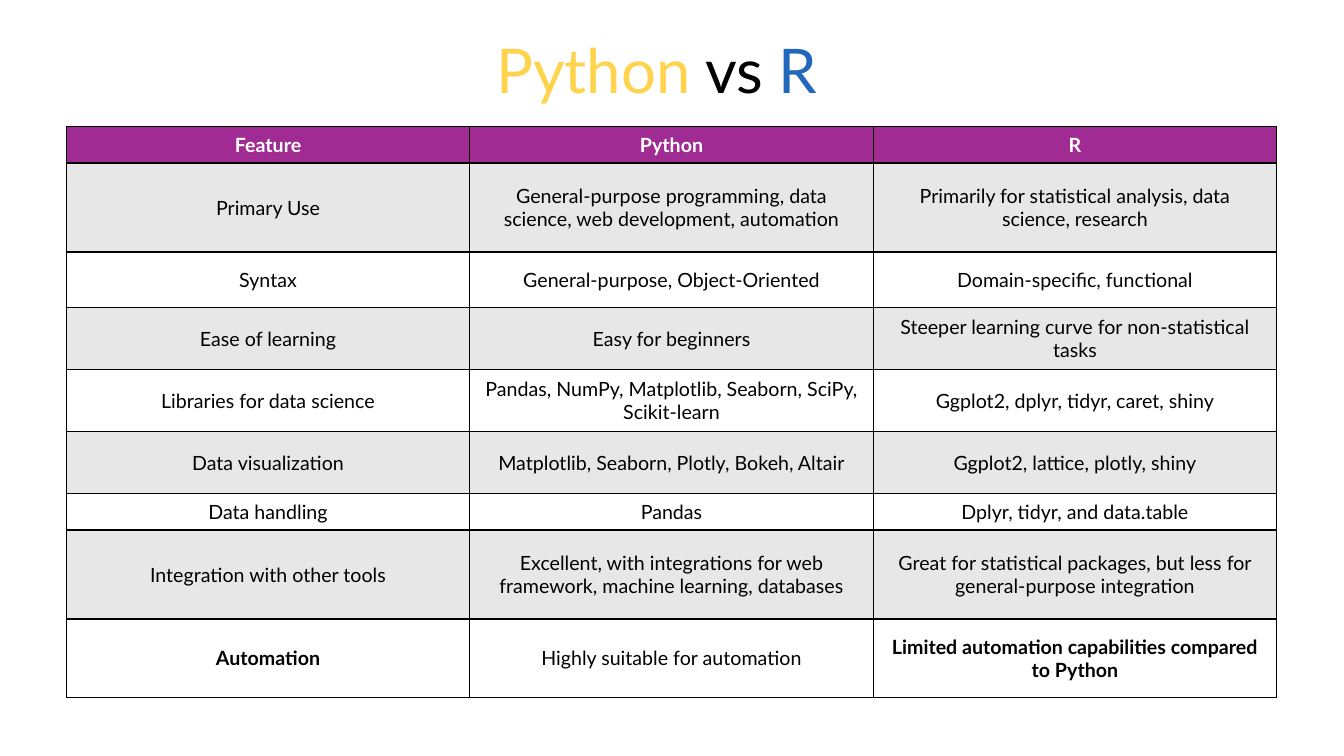
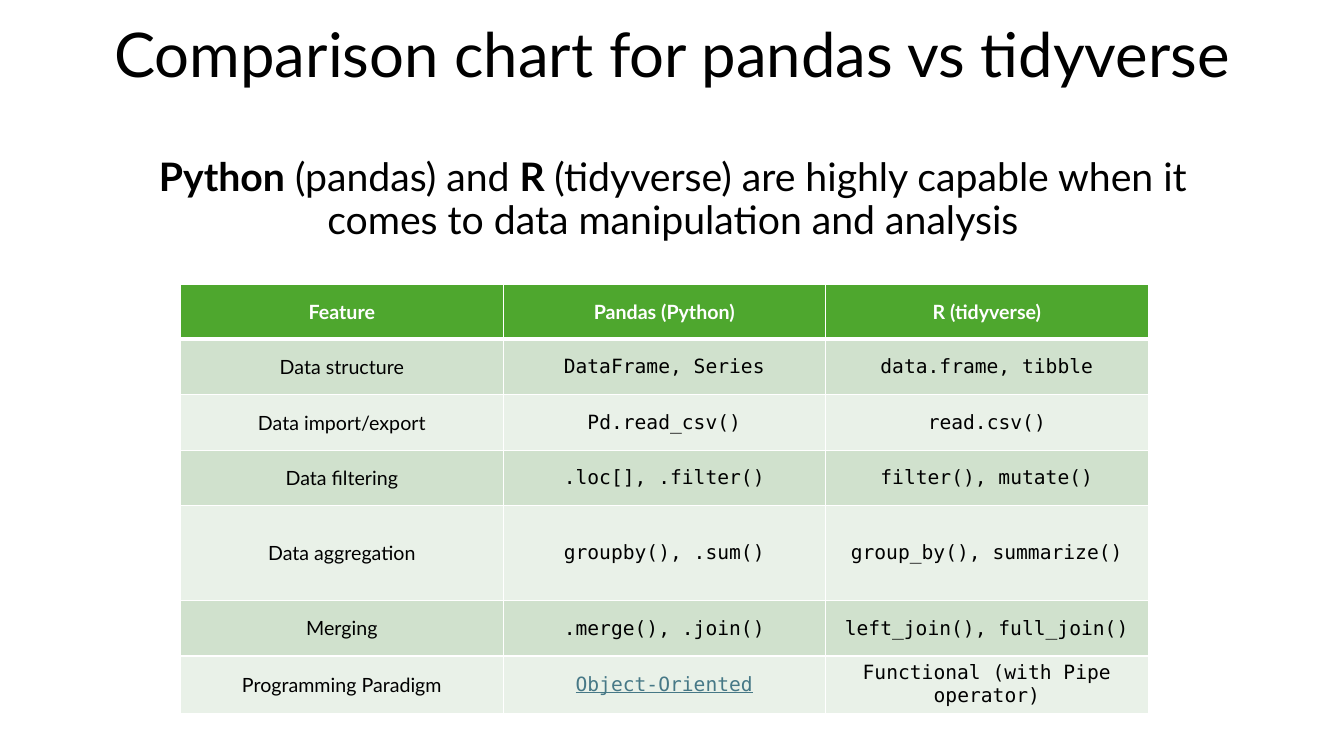
from dataclasses import dataclass

from lxml.etree import SubElement as add_element
from pptx import Presentation
from pptx.dml.color import RGBColor
from pptx.enum.text import MSO_ANCHOR as Anchor, PP_ALIGN as Align
from pptx.oxml.ns import qn
from pptx.util import Inches, Pt

BLACK = RGBColor(0x00, 0x00, 0x00)
WHITE = RGBColor(0xFF, 0xFF, 0xFF)
YELLOW = RGBColor(0xFF, 0xD3, 0x4C)
BLUE = RGBColor(0x21, 0x67, 0xBB)
LINK_BLUE = RGBColor(0x46, 0x78, 0x86)
PURPLE = RGBColor(0xA0, 0x2B, 0x93)
GRAY = RGBColor(0xE7, 0xE7, 0xE7)
GREEN = RGBColor(0x4E, 0xA7, 0x2E)
SAGE = RGBColor(0xD0, 0xE1, 0xCD)
PALE_SAGE = RGBColor(0xE9, 0xF1, 0xE8)

SANS = "Lato"
MONO = "DejaVu Sans Mono"
TITLE_SIZE = 44
SUBTITLE_SIZE = 28
CELL_SIZE = 14
SUBTITLE_GAP = 48

SLIDE_WIDTH = Inches(13.33)
SLIDE_HEIGHT = Inches(7.5)
GRID_COLUMNS = 16
GRID_ROWS = 9


def across(columns: float) -> int:
    return round(SLIDE_WIDTH * columns / GRID_COLUMNS)


def down(rows: float) -> int:
    return round(SLIDE_HEIGHT * rows / GRID_ROWS)


@dataclass(frozen=True)
class Span:
    text: str
    size: int = CELL_SIZE
    color: RGBColor = BLACK
    font: str = SANS
    bold: bool = False
    underline: bool = False


@dataclass(frozen=True)
class Area:
    left: float
    top: float
    width: float
    height: float


@dataclass(frozen=True)
class TableStyle:
    header_fill: RGBColor
    bands: tuple[RGBColor, RGBColor]
    border: RGBColor
    header_rule: float
    value_font: str


@dataclass(frozen=True)
class Comparison:
    title_area: Area
    title_lines: list[list[Span]]
    left: float
    top: float
    width: float
    row_heights: list[float]
    style: TableStyle
    rows: list[tuple[str, str, str]]
    bold_texts: tuple[str, ...] = ()
    linked_texts: tuple[str, ...] = ()


def add_span(para, span: Span) -> None:
    run = para.add_run()
    run.text = span.text
    run.font.name = span.font
    run.font.size = Pt(span.size)
    run.font.bold = span.bold
    run.font.underline = span.underline
    run.font.color.rgb = span.color


def add_title(page, area: Area, lines: list[list[Span]]) -> None:
    box = page.shapes.add_textbox(
        across(area.left), down(area.top), across(area.width), down(area.height)
    )
    frame = box.text_frame
    frame.word_wrap = True
    frame.vertical_anchor = Anchor.MIDDLE
    for index, spans in enumerate(lines):
        para = frame.add_paragraph() if index else frame.paragraphs[0]
        para.alignment = Align.CENTER
        para.line_spacing = 0.9
        para.space_before = Pt(SUBTITLE_GAP if index else 0)
        for span in spans:
            add_span(para, span)


def add_border(cell, side: str, color: RGBColor, width: float) -> None:
    properties = cell._tc.get_or_add_tcPr()
    line = add_element(properties, qn(f"a:ln{side}"), w=str(Pt(width)))
    fill = add_element(line, qn("a:solidFill"))
    add_element(fill, qn("a:srgbClr"), val=str(color))


def cell_span(text: str, row: int, column: int, page_data: Comparison) -> Span:
    if row == 0:
        return Span(text, color=WHITE, bold=True)
    linked = text in page_data.linked_texts
    return Span(
        text,
        color=LINK_BLUE if linked else BLACK,
        font=page_data.style.value_font if column else SANS,
        bold=text in page_data.bold_texts,
        underline=linked,
    )


def fill_cell(cell, row: int, span: Span, style: TableStyle) -> None:
    for side in "LRTB":
        at_header_rule = (row, side) in ((0, "B"), (1, "T"))
        add_border(cell, side, style.border, style.header_rule if at_header_rule else 1)
    cell.fill.solid()
    cell.fill.fore_color.rgb = style.bands[(row - 1) % 2] if row else style.header_fill
    cell.vertical_anchor = Anchor.MIDDLE
    para = cell.text_frame.paragraphs[0]
    para.alignment = Align.CENTER
    add_span(para, span)


def add_comparison_table(page, data: Comparison) -> None:
    column_count = len(data.rows[0])
    table = page.shapes.add_table(
        len(data.rows), column_count,
        across(data.left), down(data.top),
        across(data.width), down(sum(data.row_heights)),
    ).table
    table.horz_banding = False
    for column in table.columns:
        column.width = across(data.width / column_count)
    for row, (height, texts) in enumerate(zip(data.row_heights, data.rows)):
        table.rows[row].height = down(height)
        for column, text in enumerate(texts):
            span = cell_span(text, row, column, data)
            fill_cell(table.cell(row, column), row, span, data.style)


LANGUAGES = Comparison(
    title_area=Area(0.92, 0, 13.8, 1.74),
    title_lines=[[
        Span("Python", TITLE_SIZE, YELLOW),
        Span(" vs ", TITLE_SIZE),
        Span("R", TITLE_SIZE, BLUE),
    ]],
    left=0.79,
    top=1.51,
    width=14.41,
    row_heights=[0.43, 1.06, 0.66, 0.74, 0.74, 0.74, 0.43, 1.06, 0.94],
    style=TableStyle(PURPLE, (GRAY, WHITE), BLACK, 1, SANS),
    rows=[
        ("Feature", "Python", "R"),
        ("Primary Use",
         "General-purpose programming, data science, web development, automation",
         "Primarily for statistical analysis, data science, research"),
        ("Syntax", "General-purpose, Object-Oriented", "Domain-specific, functional"),
        ("Ease of learning", "Easy for beginners",
         "Steeper learning curve for non-statistical tasks"),
        ("Libraries for data science",
         "Pandas, NumPy, Matplotlib, Seaborn, SciPy, Scikit-learn",
         "Ggplot2, dplyr, tidyr, caret, shiny"),
        ("Data visualization", "Matplotlib, Seaborn, Plotly, Bokeh, Altair",
         "Ggplot2, lattice, plotly, shiny"),
        ("Data handling", "Pandas", "Dplyr, tidyr, and data.table"),
        ("Integration with other tools",
         "Excellent, with integrations for web framework, machine learning, databases",
         "Great for statistical packages, but less for general-purpose integration"),
        ("Automation", "Highly suitable for automation",
         "Limited automation capabilities compared to Python"),
    ],
    bold_texts=("Automation", "Limited automation capabilities compared to Python"),
)

LIBRARIES = Comparison(
    title_area=Area(1.12, 0.18, 13.78, 2.82),
    title_lines=[
        [Span("Comparison chart for pandas vs tidyverse", TITLE_SIZE)],
        [
            Span("Python", SUBTITLE_SIZE, bold=True),
            Span(" (pandas) and ", SUBTITLE_SIZE),
            Span("R ", SUBTITLE_SIZE, bold=True),
            Span("(tidyverse) are highly capable when it comes to "
                 "data manipulation and analysis", SUBTITLE_SIZE),
        ],
    ],
    left=2.15,
    top=3.38,
    width=11.52,
    row_heights=[0.66, 0.66, 0.66, 0.66, 1.13, 0.66, 0.66],
    style=TableStyle(GREEN, (SAGE, PALE_SAGE), WHITE, 3, MONO),
    rows=[
        ("Feature", "Pandas (Python)", "R (tidyverse)"),
        ("Data structure", "DataFrame, Series", "data.frame, tibble"),
        ("Data import/export", "Pd.read_csv()", "read.csv()"),
        ("Data filtering", ".loc[], .filter()", "filter(), mutate()"),
        ("Data aggregation", "groupby(), .sum()", "group_by(), summarize()"),
        ("Merging", ".merge(), .join()", "left_join(), full_join()"),
        ("Programming Paradigm", "Object-Oriented", "Functional (with Pipe operator)"),
    ],
    linked_texts=("Object-Oriented",),
)


def main() -> None:
    deck = Presentation()
    deck.slide_width = SLIDE_WIDTH
    deck.slide_height = SLIDE_HEIGHT
    for data in (LANGUAGES, LIBRARIES):
        page = deck.slides.add_slide(deck.slide_layouts[6])
        add_title(page, data.title_area, data.title_lines)
        add_comparison_table(page, data)
    deck.save("out.pptx")


if __name__ == "__main__":
    main()
